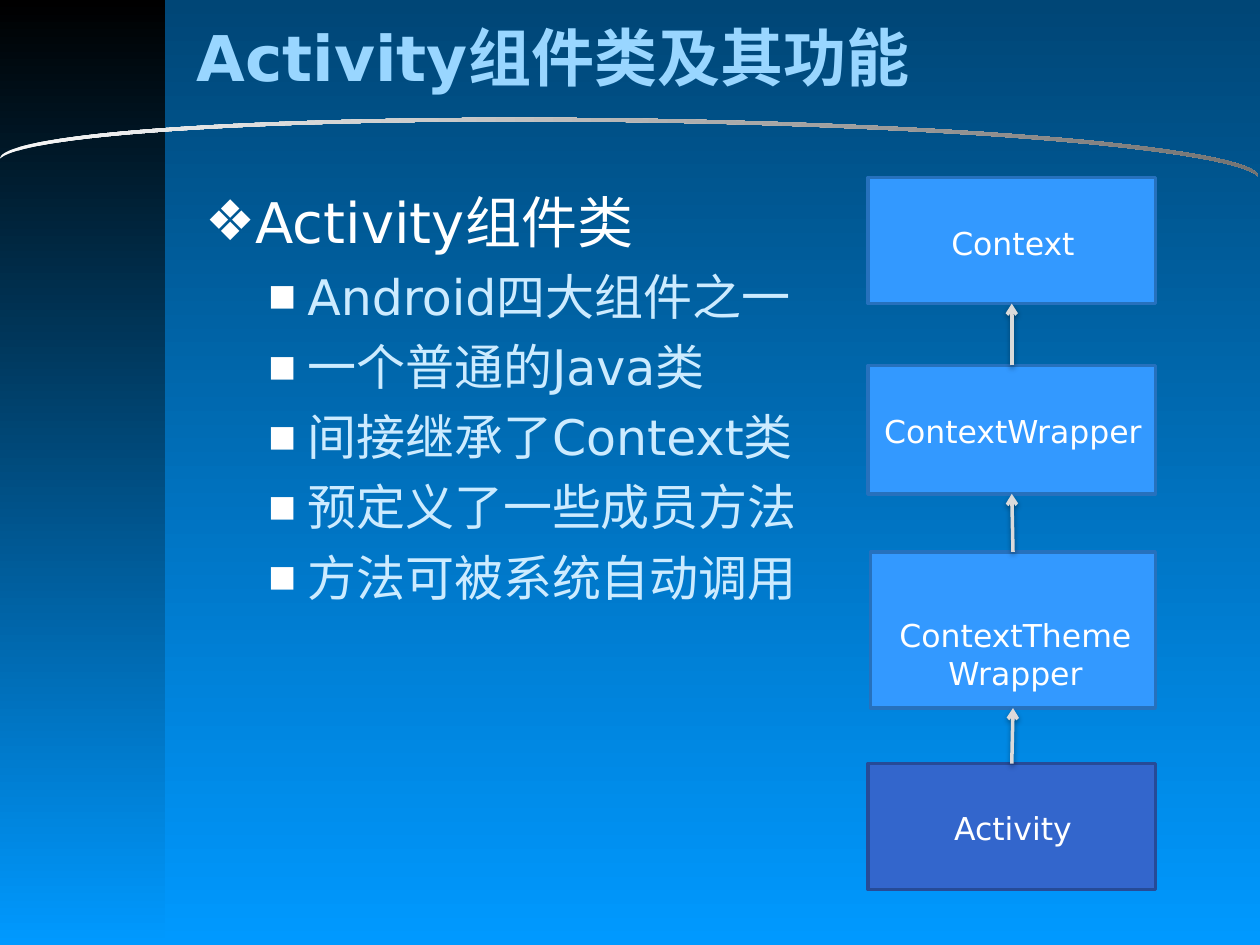
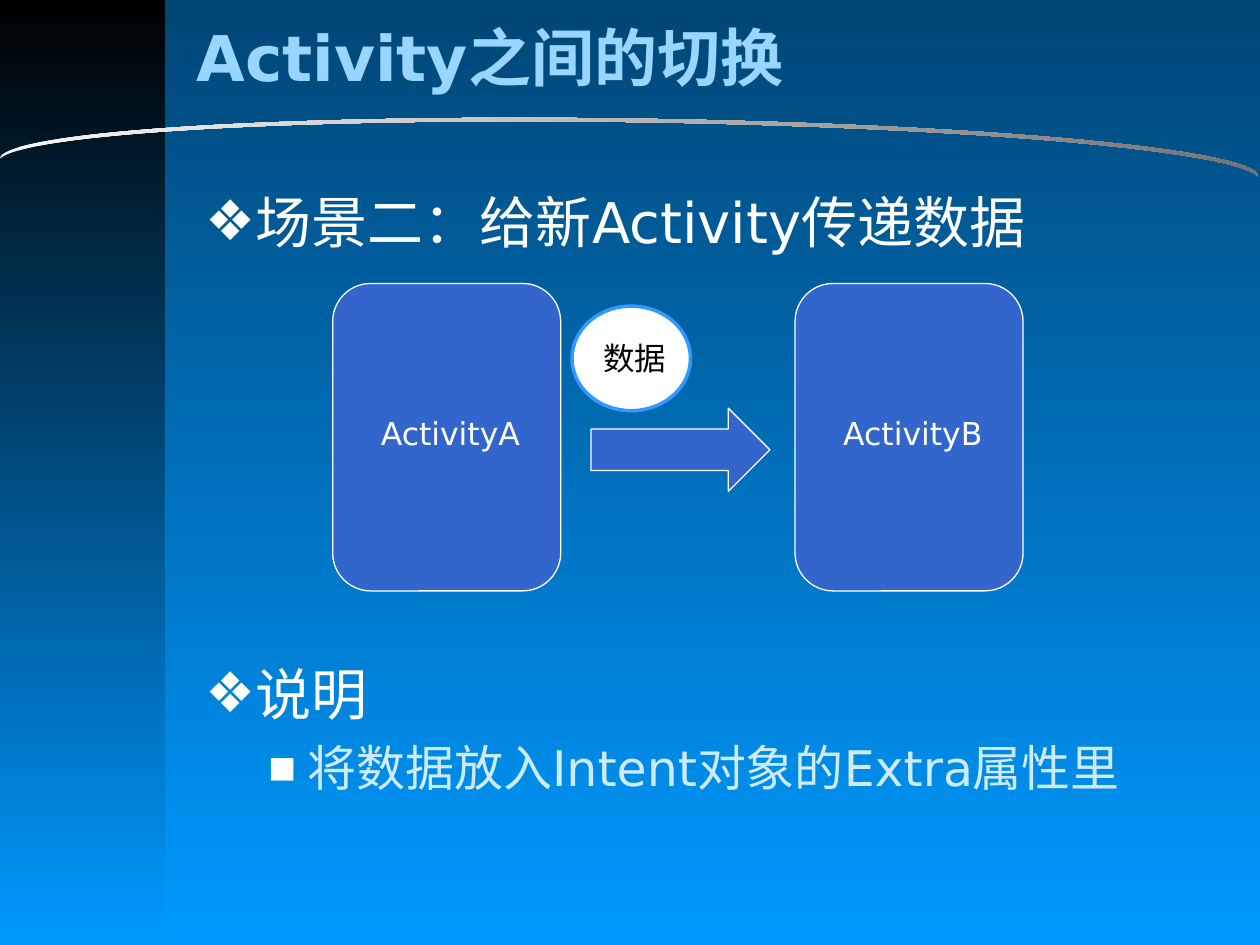
"""Builds two slides on the Activity component: its class hierarchy and passing data."""
from pptx import Presentation
from pptx.dml.color import RGBColor
from pptx.enum.shapes import MSO_CONNECTOR as Connector, MSO_SHAPE as Shape
from pptx.enum.text import MSO_ANCHOR as Anchor, MSO_AUTO_SIZE as AutoSize, PP_ALIGN as Align
from pptx.oxml import parse_xml
from pptx.oxml.ns import nsdecls
from pptx.util import Inches, Pt

FONT = "DejaVu Sans"
WHITE, BLACK = "FFFFFF", "000000"
NAVY, SKY = "004676", "0099FF"
TITLE_BLUE, ITEM_BLUE = "99D6FF", "CCEBFF"
PARENT_BLUE, PARENT_EDGE = "3399FF", "2671BD"
ACTIVITY_BLUE, ACTIVITY_EDGE = "3366CC", "264B97"
ARROW_GREY = "DADADA"
TOP, BOTTOM = 0, 2

LEVELS = [
    dict(size=32, color=WHITE, margin=0.38, hang=0.38, bullet="❖", scale=100, before=7.5),
    dict(size=28, color=ITEM_BLUE, margin=0.81, hang=0.31, bullet="■", scale=60, before=6.5),
]


def rgb(value):
    return RGBColor.from_string(value)


def drawing_xml(body):
    return parse_xml(body.replace(">", f" {nsdecls('a')}>", 1))


def gradient(fill, start, end):
    fill.gradient()
    fill.gradient_angle = 270
    for stop, color, position in zip(fill.gradient_stops, (start, end), (0, 1)):
        stop.color.rgb = rgb(color)
        stop.position = position


class Deck:
    def __init__(self):
        self.show = Presentation()
        self.show.slide_width, self.show.slide_height = Inches(10), Inches(7.5)
        self.layout = self.show.slide_layouts[1]
        self.slide = None
        gradient(self.show.slide_master.background.fill, NAVY, SKY)
        for footer in list(self.layout.placeholders)[2:]:
            footer.element.getparent().remove(footer.element)

    def place(self, item, left, top, width, height):
        item.left, item.top = Inches(left), Inches(top)
        item.width, item.height = Inches(width), Inches(height)

    def add_text(self, paragraph, text, size, color, bold=False):
        for number, line in enumerate(text.split("\n")):
            if number:
                paragraph.add_line_break()
            run = paragraph.add_run()
            run.text = line
            run.font.name, run.font.size, run.font.bold = FONT, Pt(size), bold
            run.font.color.rgb = rgb(color)

    def shape(self, kind, left, top, width, height):
        shape = self.slide.shapes.add_shape(
            kind, Inches(left), Inches(top), Inches(width), Inches(height))
        shape.shadow.inherit = False
        return shape

    def decorate_layout(self):
        band = self.shape(Shape.RECTANGLE, 0, 0, 1.31, 7.5)
        gradient(band.fill, BLACK, SKY)
        arc = self.shape(Shape.MOON, 4.8, -3.86, 0.39, 9.99)
        arc.adjustments[0] = 0.071
        arc.rotation = 270.8
        arc.element.spPr.xfrm.set("flipH", "1")
        gradient(arc.fill, "F8F8F8", "737373")
        for position, part in enumerate((band, arc), start=2):
            part.line.fill.background()
            self.layout.shapes.element.insert(position, part.element)

    def new_slide(self, heading):
        self.slide = self.show.slides.add_slide(self.layout)
        if len(self.show.slides) == 1:
            self.decorate_layout()
        title = self.slide.shapes.title
        self.place(title, 1.46, 0.11, 7.58, 0.67)
        title.text_frame.vertical_anchor = Anchor.MIDDLE
        title.text_frame.auto_size = AutoSize.NONE
        paragraph = title.text_frame.paragraphs[0]
        paragraph.alignment = Align.LEFT
        self.add_text(paragraph, heading, 36, TITLE_BLUE, bold=True)

    def outline(self, width, entries):
        body = self.slide.placeholders[1]
        self.place(body, 1.53, 1.44, width, 5.42)
        frame = body.text_frame
        frame.auto_size = AutoSize.NONE
        for number, (level, text, *gap) in enumerate(entries):
            style = LEVELS[level]
            paragraph = frame.add_paragraph() if number else frame.paragraphs[0]
            paragraph.level = level
            self.bullet(paragraph, style)
            before = gap[0] if gap else style["before"]
            paragraph.space_before = Pt(before if number else 0)
            self.add_text(paragraph, text, style["size"], style["color"])

    def bullet(self, paragraph, style):
        properties = paragraph._p.get_or_add_pPr()
        properties.set("marL", str(Inches(style["margin"])))
        properties.set("indent", str(-Inches(style["hang"])))
        for part in (
            f'<a:buClr><a:srgbClr val="{WHITE}"/></a:buClr>',
            f'<a:buSzPct val="{style["scale"] * 1000}"></a:buSzPct>',
            f'<a:buFont typeface="{FONT}"></a:buFont>',
            f'<a:buChar char="{style["bullet"]}"></a:buChar>',
        ):
            properties.append(drawing_xml(part))

    def box(self, kind, bounds, fill, edge, weight):
        box = self.shape(kind, *bounds)
        box.fill.solid()
        box.fill.fore_color.rgb = rgb(fill)
        box.line.color.rgb = rgb(edge)
        box.line.width = Pt(weight)
        return box

    def label(self, text, left, top, width, color=WHITE, align=Align.CENTER, height=0.4):
        label = self.slide.shapes.add_textbox(
            Inches(left), Inches(top), Inches(width), Inches(height))
        frame = label.text_frame
        frame.word_wrap = True
        frame.auto_size = AutoSize.SHAPE_TO_FIT_TEXT
        frame.paragraphs[0].alignment = align
        self.add_text(frame.paragraphs[0], text, 18, color)

    def inherit_arrow(self, child, parent):
        arrow = self.slide.shapes.add_connector(Connector.STRAIGHT, 0, 0, 0, 0)
        arrow.begin_connect(child, TOP)
        arrow.end_connect(parent, BOTTOM)
        arrow.line.color.rgb = rgb(ARROW_GREY)
        arrow.line.width = Pt(2)
        properties = arrow.element.spPr
        properties.get_or_add_ln().append(drawing_xml('<a:tailEnd type="arrow"></a:tailEnd>'))
        properties.append(drawing_xml(
            f'<a:effectLst><a:outerShdw blurRad="{Pt(3.1)}" dist="{Pt(1.6)}" dir="5400000" '
            f'rotWithShape="0"><a:srgbClr val="{BLACK}"><a:alpha val="38000"/></a:srgbClr>'
            '</a:outerShdw></a:effectLst>'))


def class_hierarchy(deck):
    deck.new_slide("Activity组件类及其功能")
    deck.outline(7.95, [
        (0, "Activity组件类"),
        (1, "Android四大组件之一"),
        (1, "一个普通的Java类"),
        (1, "间接继承了Context类"),
        (1, "预定义了一些成员方法"),
        (1, "方法可被系统自动调用"),
    ])
    parent, activity = (PARENT_BLUE, PARENT_EDGE), (ACTIVITY_BLUE, ACTIVITY_EDGE)
    classes = []
    for name, bounds, label_top, colors in (
        ("Context", (6.89, 1.41, 2.28, 1), 1.73, parent),
        ("ContextWrapper", (6.89, 2.9, 2.28, 1.02), 3.22, parent),
        ("ContextTheme\nWrapper", (6.91, 4.38, 2.26, 1.24), 4.84, parent),
        ("Activity", (6.89, 6.06, 2.28, 1), 6.37, activity),
    ):
        classes.append(deck.box(Shape.RECTANGLE, bounds, *colors, 2))
        deck.label(name, bounds[0] + 0.02, label_top, 2.26, height=0.71 if "\n" in name else 0.4)
    for ancestor, child in zip(classes, classes[1:]):
        deck.inherit_arrow(child, ancestor)


def passing_data(deck):
    deck.new_slide("Activity之间的切换")
    deck.outline(8.27, [
        (0, "场景二：给新Activity传递数据"),
        (0, "说明", 231),
        (1, "将数据放入Intent对象的Extra属性里"),
    ])
    for name, left in (("ActivityA", 2.64), ("ActivityB", 6.31)):
        deck.box(Shape.ROUNDED_RECTANGLE, (left, 2.25, 1.81, 2.44), ACTIVITY_BLUE, WHITE, 0.75)
        deck.label(name, left + 0.03, 3.24, 1.81)
    deck.box(Shape.RIGHT_ARROW, (4.69, 3.24, 1.42, 0.66), ACTIVITY_BLUE, WHITE, 0.75)
    deck.box(Shape.OVAL, (4.54, 2.43, 0.94, 0.83), WHITE, PARENT_BLUE, 2)
    deck.label("数据", 4.69, 2.64, 0.71, BLACK, Align.LEFT)


def main():
    deck = Deck()
    class_hierarchy(deck)
    passing_data(deck)
    deck.show.save("out.pptx")


if __name__ == "__main__":
    main()
